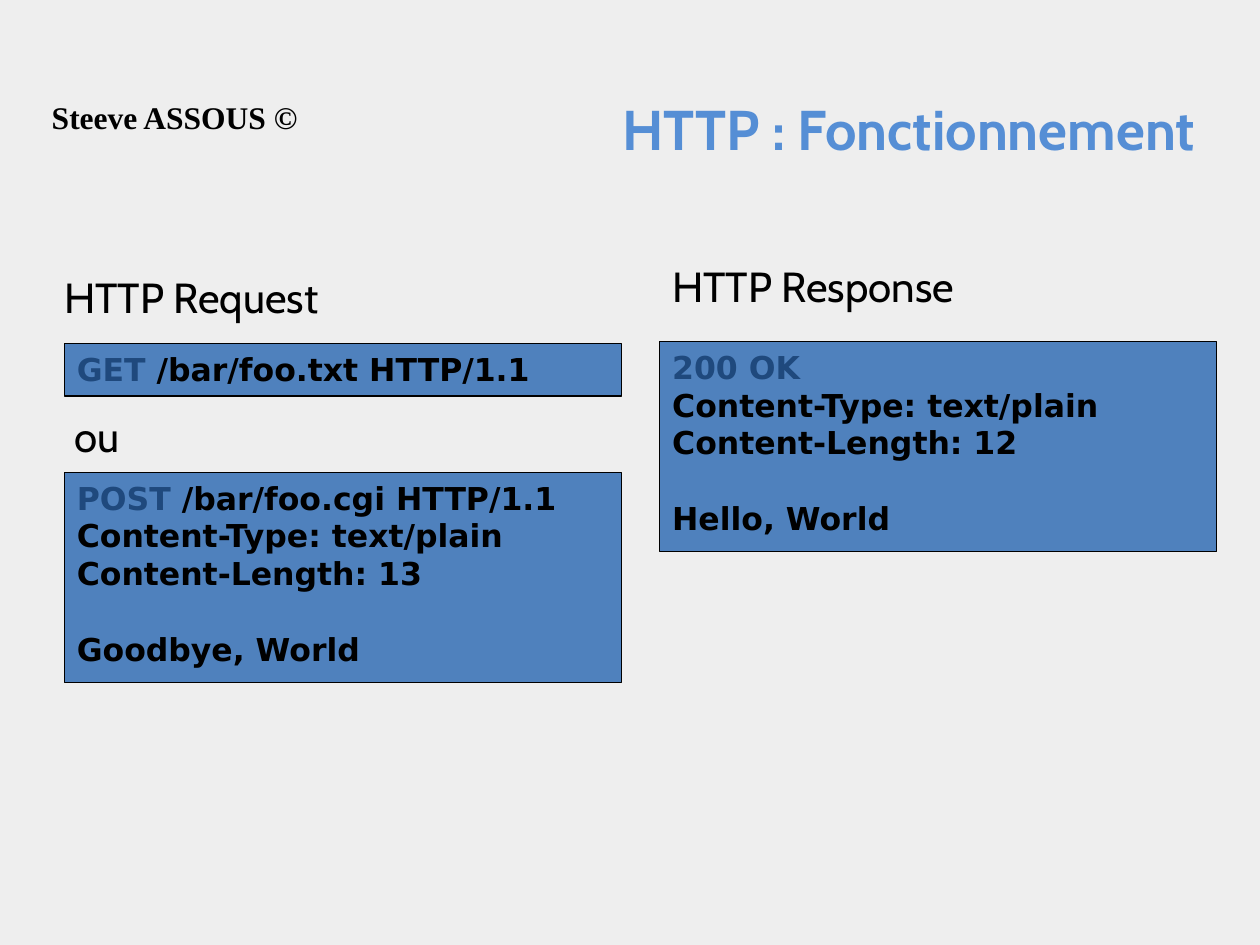
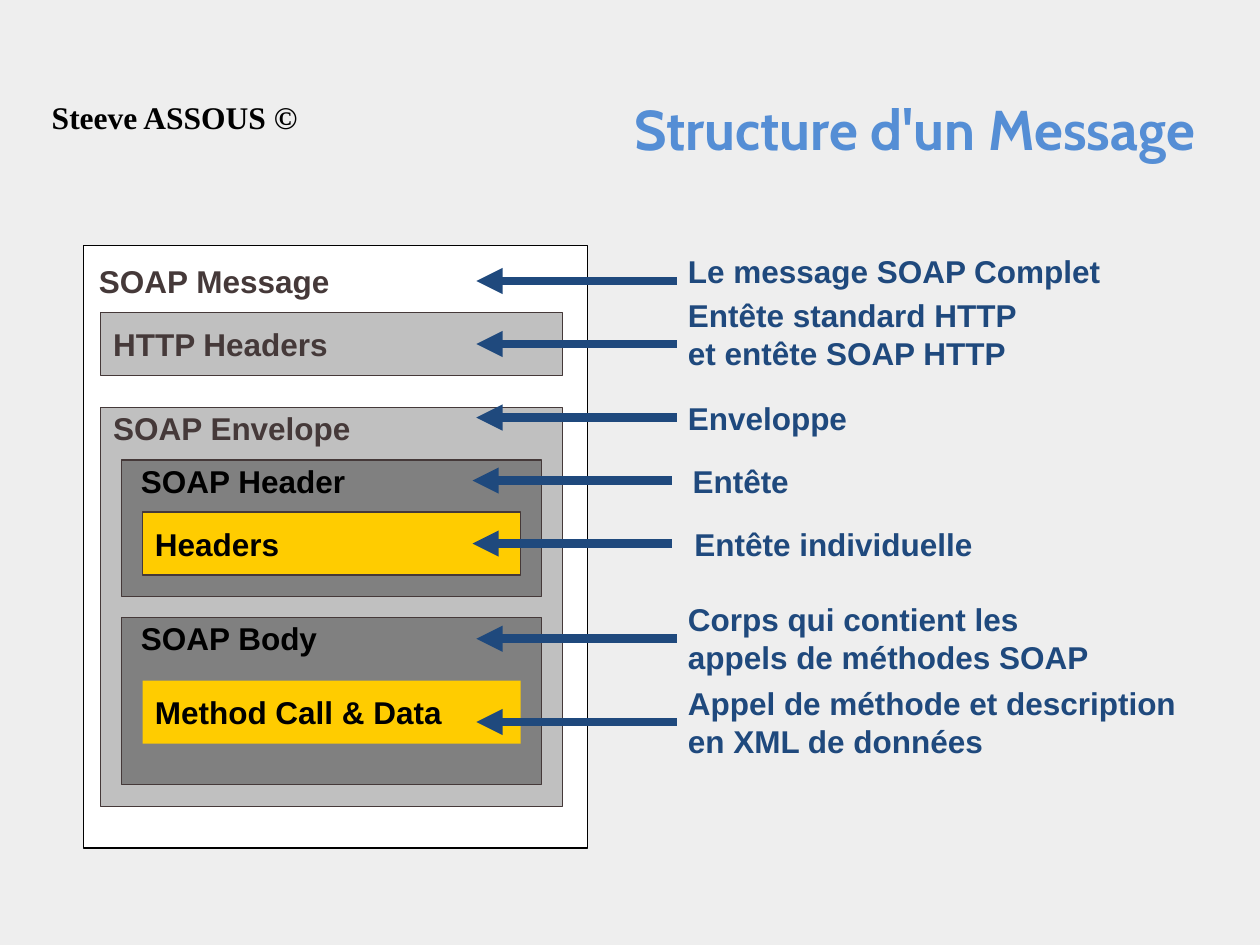
from dataclasses import dataclass
from typing import Optional

from lxml.etree import SubElement
from pptx import Presentation
from pptx.dml.color import RGBColor
from pptx.enum.shapes import MSO_CONNECTOR, MSO_SHAPE
from pptx.enum.text import MSO_ANCHOR, MSO_AUTO_SIZE, PP_ALIGN
from pptx.oxml.ns import qn
from pptx.presentation import Presentation as Deck
from pptx.shapes.base import BaseShape
from pptx.slide import Slide
from pptx.text.text import TextFrame
from pptx.util import Pt


@dataclass(frozen=True)
class Theme:
    background: str = "EEEEEE"
    title: str = "558ED5"
    accent: str = "1F497D"
    code_fill: str = "4F81BD"
    black: str = "000000"
    white: str = "FFFFFF"
    brown: str = "453939"
    light_gray: str = "C0C0C0"
    dark_gray: str = "808080"
    yellow: str = "FFCC00"
    title_size: float = 32
    heading_size: float = 24
    text_size: float = 18
    heading_font: str = "Cabin"
    code_font: str = "DejaVu Sans"
    diagram_font: str = "Arial"
    author_font: str = "Times New Roman"
    outline: float = 0.75
    arrow: float = 5


THEME = Theme()


@dataclass(frozen=True)
class Box:
    left: float
    top: float
    width: float
    height: float = 36

    def lengths(self) -> tuple:
        return Pt(self.left), Pt(self.top), Pt(self.width), Pt(self.height)


@dataclass(frozen=True)
class Style:
    font: str
    size: float
    color: str
    bold: bool = True


@dataclass(frozen=True)
class CodeBox:
    box: Box
    keyword: str
    rest: str = ""
    headers: tuple[str, ...] = ()
    body: str = ""


@dataclass(frozen=True)
class Block:
    box: Box
    fill: str
    line: Optional[str] = THEME.brown
    text: str = ""
    color: str = THEME.black


@dataclass(frozen=True)
class Label:
    text: str
    box: Box
    color: str = THEME.black


@dataclass(frozen=True)
class Annotation:
    lines: tuple[str, ...]
    top: float
    arrow_drop: float = 18
    left: float = 386
    arrow_start: float = 386.6
    arrow_end: float = 272.2


HEADING = Style(THEME.heading_font, THEME.heading_size, THEME.black, False)
CODE = Style(THEME.code_font, THEME.text_size, THEME.black)
KEYWORD = Style(THEME.code_font, THEME.text_size, THEME.accent)
AUTHOR = Style(THEME.author_font, THEME.text_size, THEME.black)
TITLE = Style(THEME.heading_font, THEME.title_size, THEME.title)


def diagram_style(color: str) -> Style:
    return Style(THEME.diagram_font, THEME.text_size, color)


# Text helpers
def add_run(paragraph, text: str, style: Style) -> None:
    run = paragraph.add_run()
    run.text = text
    run.font.name = style.font
    run.font.size = Pt(style.size)
    run.font.bold = style.bold
    run.font.color.rgb = RGBColor.from_string(style.color)


def add_lines(frame: TextFrame, lines: tuple[str, ...], style: Style) -> None:
    for index, line in enumerate(lines):
        paragraph = frame.add_paragraph() if index else frame.paragraphs[0]
        paragraph.alignment = PP_ALIGN.LEFT
        add_run(paragraph, line, style)


def add_text(slide: Slide, box: Box, lines: tuple[str, ...], style: Style,
             anchor: MSO_ANCHOR = MSO_ANCHOR.TOP) -> TextFrame:
    frame = slide.shapes.add_textbox(*box.lengths()).text_frame
    frame.word_wrap = False
    frame.vertical_anchor = anchor
    add_lines(frame, lines, style)
    return frame


# Shape helpers
def add_rectangle(slide: Slide, box: Box, fill: str, line: Optional[str]) -> BaseShape:
    shape = slide.shapes.add_shape(MSO_SHAPE.RECTANGLE, *box.lengths())
    shape.shadow.inherit = False
    shape.fill.solid()
    shape.fill.fore_color.rgb = RGBColor.from_string(fill)
    if line:
        shape.line.color.rgb = RGBColor.from_string(line)
        shape.line.width = Pt(THEME.outline)
    else:
        shape.line.fill.background()
    shape.text_frame.word_wrap = False
    return shape


def add_code_box(slide: Slide, code: CodeBox) -> None:
    frame = add_rectangle(slide, code.box, THEME.code_fill, THEME.black).text_frame
    frame.vertical_anchor = MSO_ANCHOR.TOP
    add_lines(frame, (code.keyword,), KEYWORD)
    if code.rest:
        add_run(frame.paragraphs[0], code.rest, CODE)
    for line in code.headers + ((code.body,) if code.body else ()):
        paragraph = frame.add_paragraph()
        paragraph.alignment = PP_ALIGN.LEFT
        add_run(paragraph, line, CODE)
    if code.body:
        frame.paragraphs[-1].space_before = Pt(21.5)


def add_block(slide: Slide, block: Block) -> None:
    frame = add_rectangle(slide, block.box, block.fill, block.line).text_frame
    if block.text:
        frame.vertical_anchor = MSO_ANCHOR.MIDDLE
        add_lines(frame, (block.text,), diagram_style(block.color))


def add_annotation(slide: Slide, note: Annotation) -> None:
    add_text(slide, Box(note.left, note.top, NOTE_WIDTH), note.lines,
             diagram_style(THEME.accent), MSO_ANCHOR.MIDDLE)
    height = Pt(note.top + note.arrow_drop)
    arrow = slide.shapes.add_connector(
        MSO_CONNECTOR.STRAIGHT, Pt(note.arrow_start), height, Pt(note.arrow_end), height)
    arrow.line.color.rgb = RGBColor.from_string(THEME.accent)
    arrow.line.width = Pt(THEME.arrow)
    SubElement(arrow.line._get_or_add_ln(), qn("a:tailEnd"), type="triangle")
    SubElement(arrow._element.spPr, qn("a:effectLst"))


# Title and author shared by the slides
def add_slide(presentation: Deck, title: str) -> Slide:
    slide = presentation.slides.add_slide(presentation.slide_layouts[5])
    shape = slide.shapes.title
    shape.left, shape.top, shape.width, shape.height = Box(48.2, 18, 642.2, 77.8).lengths()
    frame = shape.text_frame
    frame.word_wrap = True
    frame.auto_size = MSO_AUTO_SIZE.NONE
    frame.vertical_anchor = MSO_ANCHOR.BOTTOM
    add_lines(frame, (title,), TITLE)
    frame.paragraphs[0].alignment = PP_ALIGN.RIGHT
    author = add_text(slide, Box(22.5, 54.7, 158.4, 26.6), ("Steeve ASSOUS ©",), AUTHOR)
    author.word_wrap = True
    author.paragraphs[0].line_spacing = 0.9
    return slide


# Slide 1: request and response
REQUEST_LEFT, RESPONSE_LEFT, CODE_WIDTH, MESSAGE_HEIGHT = 36.8, 377, 318.2, 120.2

CODE_BOXES = (
    CodeBox(Box(REQUEST_LEFT, 196.4, CODE_WIDTH, 30), "GET", " /bar/foo.txt HTTP/1.1"),
    CodeBox(Box(RESPONSE_LEFT, 195.2, CODE_WIDTH, MESSAGE_HEIGHT), "200 OK",
            headers=("Content-Type: text/plain", "Content-Length: 12"),
            body="Hello, World"),
    CodeBox(Box(REQUEST_LEFT, 270, CODE_WIDTH, MESSAGE_HEIGHT), "POST",
            " /bar/foo.cgi HTTP/1.1",
            ("Content-Type: text/plain", "Content-Length: 13"), "Goodbye, World"),
)
HEADINGS = (
    Label("HTTP Request", Box(29.6, 151.6, 164.9)),
    Label("ou", Box(35.3, 231.1, 41)),
    Label("HTTP Response", Box(RESPONSE_LEFT, 145.4, 180.7)),
)


def build_http_slide(presentation: Deck) -> None:
    slide = add_slide(presentation, "HTTP : Fonctionnement")
    for code in CODE_BOXES:
        add_code_box(slide, code)
    for heading in HEADINGS:
        add_text(slide, heading.box, (heading.text,), HEADING)


# Slide 2: nested message parts, their labels and the explanations
PART_LEFT, PART_WIDTH = 57.6, 263.8
SECTION_LEFT, SECTION_WIDTH = 69.4, 240
ITEM_LEFT, ITEM_WIDTH = 81.5, 216
LABEL_WIDTH = 191.5
NOTE_WIDTH = 300

BLOCKS = (
    Block(Box(47.7, 140.4, 288, 344.2), THEME.white, THEME.black),
    Block(Box(PART_LEFT, 232.7, PART_WIDTH, 228), THEME.light_gray),
    Block(Box(SECTION_LEFT, 262.9, SECTION_WIDTH, 77.8), THEME.dark_gray),
    Block(Box(SECTION_LEFT, 352.8, SECTION_WIDTH, 95.6), THEME.dark_gray),
    Block(Box(ITEM_LEFT, 389, ITEM_WIDTH), THEME.yellow, None, "Method Call & Data"),
    Block(Box(ITEM_LEFT, 292.6, ITEM_WIDTH), THEME.yellow, text="Headers"),
    Block(Box(PART_LEFT, 178.6, PART_WIDTH), THEME.light_gray,
          text="HTTP Headers", color=THEME.brown),
)
BLOCK_LABELS = (
    Label("SOAP Message", Box(49.5, 143, LABEL_WIDTH, 35), THEME.brown),
    Label("SOAP Envelope", Box(PART_LEFT, 226.8, LABEL_WIDTH), THEME.brown),
    Label("SOAP Header", Box(73.5, 256.6, LABEL_WIDTH)),
    Label("SOAP Body", Box(73.5, 346.4, LABEL_WIDTH)),
)
ANNOTATIONS = (
    Annotation(("Le message SOAP Complet",), 136.8, 23.8),
    Annotation(("Entête standard HTTP", "et entête SOAP HTTP"), 172.8, 23.8),
    Annotation(("Enveloppe",), 220.6),
    Annotation(("Entête",), 256.6, left=388.7, arrow_start=383.8, arrow_end=270),
    Annotation(("Entête individuelle",), 292.6, left=389.7, arrow_start=383.8, arrow_end=270),
    Annotation(("Corps qui contient les", "appels de méthodes SOAP"), 346.4, 18.6),
    Annotation(("Appel de méthode et description", "en XML de données"), 394.6),
)


def build_message_slide(presentation: Deck) -> None:
    slide = add_slide(presentation, "Structure d'un Message")
    for block in BLOCKS:
        add_block(slide, block)
    for label in BLOCK_LABELS:
        add_text(slide, label.box, (label.text,), diagram_style(label.color), MSO_ANCHOR.MIDDLE)
    for note in ANNOTATIONS:
        add_annotation(slide, note)


def main() -> None:
    presentation = Presentation()
    presentation.slide_width, presentation.slide_height = Pt(720), Pt(540)
    background = presentation.slide_master.background.fill
    background.solid()
    background.fore_color.rgb = RGBColor.from_string(THEME.background)
    build_http_slide(presentation)
    build_message_slide(presentation)
    presentation.save("out.pptx")


if __name__ == "__main__":
    main()
